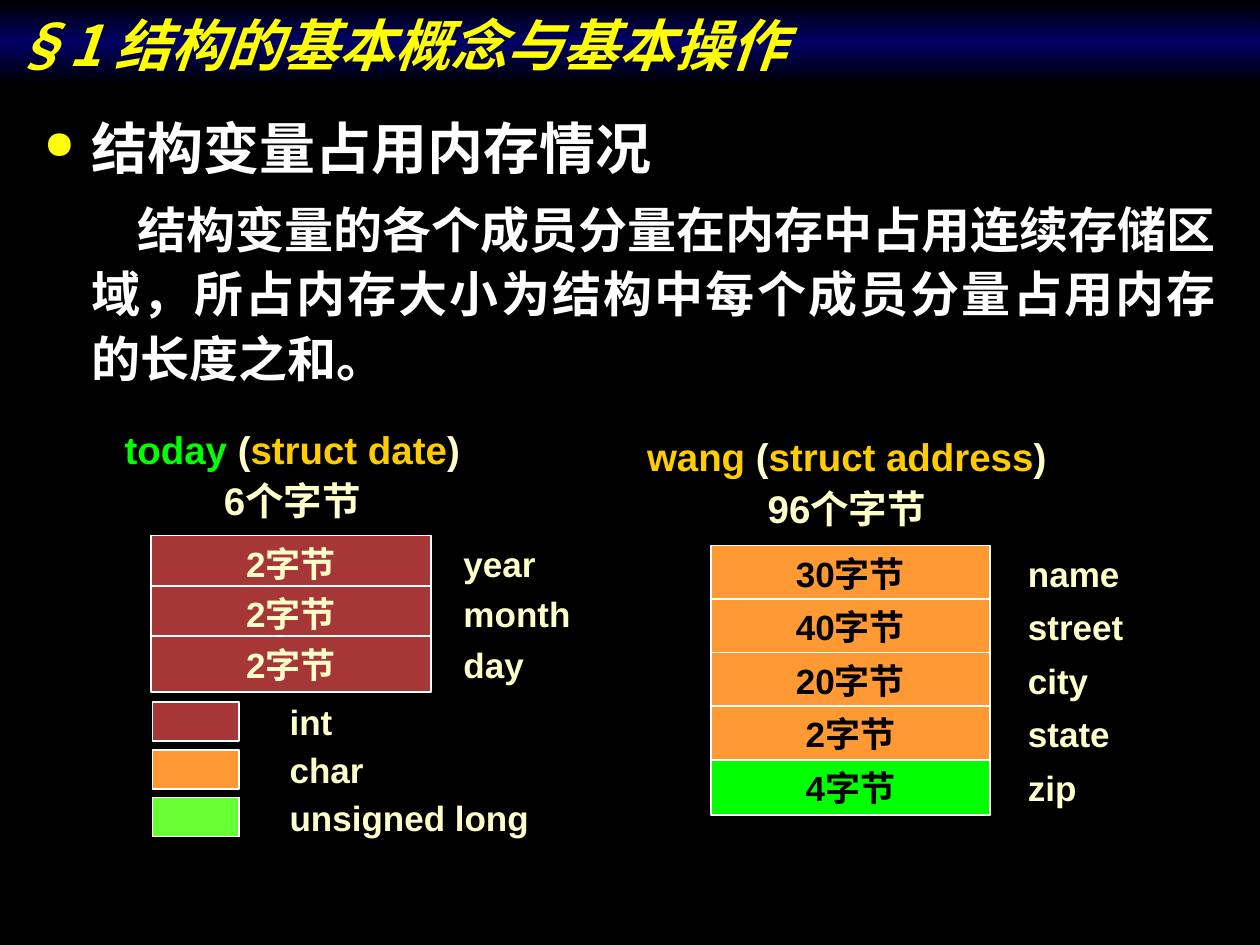
from copy import deepcopy

from lxml.etree import SubElement
from pptx import Presentation
from pptx.dml.color import RGBColor
from pptx.enum.shapes import MSO_SHAPE
from pptx.enum.text import MSO_ANCHOR, PP_ALIGN
from pptx.oxml.ns import qn
from pptx.util import Inches, Pt

COLORS = {
    "black": "000000", "navy": "000066", "white": "FFFFFF", "yellow": "FFFF00",
    "cream": "FFFFCC", "gold": "FFCC00", "green": "00FF00",
    "int": "A73737", "char": "FF9933", "long": "66FF33",
}
SANS, HAN = "Arial", "Noto Sans CJK SC"
ROW = 0.44


def rgb(name):
    return RGBColor.from_string(COLORS[name])


def style(run, size, color, face=SANS, italic=None):
    font = run.font
    font.name, font.size, font.bold, font.italic = face, Pt(size), True, italic
    font.color.rgb = rgb(color)
    SubElement(font._element, qn("a:ea"), typeface=HAN)


def add_rect(shapes, box, fill, line=None):
    rect = shapes.add_shape(MSO_SHAPE.RECTANGLE, *map(Inches, box))
    rect.shadow.inherit = False
    rect.fill.solid()
    rect.fill.fore_color.rgb = rgb(fill)
    if line:
        rect.line.color.rgb = rgb(line)
        rect.line.width = Pt(1)
    else:
        rect.line.fill.background()
    return rect


def add_box(shapes, box):
    text = shapes.add_textbox(*map(Inches, box))
    text.text_frame.word_wrap = True
    return text


def write(shape, text, color, align=PP_ALIGN.LEFT):
    """Put one middle-anchored line of label text into a shape."""
    frame = shape.text_frame
    frame.vertical_anchor = MSO_ANCHOR.MIDDLE
    frame.text = text
    para = frame.paragraphs[0]
    para.alignment = align
    style(para.runs[0], 20, color)


def add_title(slide, box, text):
    bar = add_rect(slide.shapes, box, "black")
    bar.fill.gradient()
    bar.fill.gradient_angle = 270
    stops = bar.fill.gradient_stops
    last = stops[1]._gs
    last.addprevious(deepcopy(last))
    for stop, name, place in zip(bar.fill.gradient_stops,
                                 ("black", "navy", "black"), (0, 0.5, 1)):
        stop.color.rgb = rgb(name)
        stop.position = place
    frame = bar.text_frame
    frame.vertical_anchor = MSO_ANCHOR.BOTTOM
    frame.text = text
    para = frame.paragraphs[0]
    para.alignment = PP_ALIGN.LEFT
    style(para.runs[0], 32, "yellow", HAN, True)


def add_bullet(props):
    color = SubElement(props, qn("a:buClr"))
    SubElement(color, qn("a:srgbClr"), val=COLORS["yellow"])
    SubElement(props, qn("a:buSzPct"), val="70000")
    SubElement(props, qn("a:buChar"), char="●")


def add_body(slide, box, head, text):
    frame = add_box(slide.shapes, box).text_frame
    frame.text = f"{head}\n{text}"
    for para, size, indent in zip(frame.paragraphs, (32, 28), (-0.38, 0.36)):
        para.alignment = PP_ALIGN.JUSTIFY
        para.line_spacing = 1.1
        props = para._p.get_or_add_pPr()
        props.set("marL", str(Inches(0.38)))
        props.set("indent", str(Inches(indent)))
        style(para.runs[0], size, "white", HAN)
    first, second = frame.paragraphs
    add_bullet(first._p.get_or_add_pPr())
    second.space_before = Pt(7)


def add_head(shapes, box, parts, total):
    """Name a variable and its type, with the total size below."""
    frame = add_box(shapes, box).text_frame
    frame.vertical_anchor = MSO_ANCHOR.MIDDLE
    lines = [frame.paragraphs[0], frame.add_paragraph()]
    for para, runs in zip(lines, (parts, [(total, "cream")])):
        para.alignment = PP_ALIGN.CENTER
        para.line_spacing = 0.9
        for text, color in runs:
            run = para.add_run()
            run.text = text
            style(run, 22, color)
    lines[1].space_before = Pt(5.5)


def add_struct(slide, left, top, pitch, ink, gap, wide, rows):
    """Stack one cell per member, with the member names to the right."""
    shapes = slide.shapes.add_group_shape().shapes
    for i, (size, name, fill) in enumerate(rows):
        y = top + i * pitch
        cell = add_rect(shapes, (left, y, 2.22, ROW), fill, "white")
        write(cell, size, ink, PP_ALIGN.CENTER)
        write(add_box(shapes, (left + gap, y, wide, ROW)), name, "cream")
    return shapes


def add_legend(slide, left, top, items):
    shapes = slide.shapes.add_group_shape().shapes
    for i, (name, fill, wide) in enumerate(items):
        y = top + i * 0.38
        add_rect(shapes, (left, y + 0.06, 0.69, 0.31), fill, "white")
        label = add_box(shapes, (left + 0.99, y, wide, ROW))
        label.text_frame.word_wrap = False
        write(label, name, "cream")


def main():
    deck = Presentation()
    deck.slide_width, deck.slide_height = Inches(10), Inches(7.5)
    slide = deck.slides.add_slide(deck.slide_layouts[6])
    slide.background.fill.solid()
    slide.background.fill.fore_color.rgb = rgb("black")

    add_body(slide, (0.25, 0.8, 9.5, 2.41), "结构变量占用内存情况",
             "结构变量的各个成员分量在内存中占用连续存储区域，"
             "所占内存大小为结构中每个成员分量占用内存的长度之和。")

    date = add_struct(slide, 1.2, 4.25, 0.4, "cream", 2.38, 1.19, [
        ("2字节", name, "int") for name in ("year", "month", "day")])
    add_head(date, (0.87, 3.37, 2.9, 0.84),
             [("today", "green"), (" (", "cream"),
              ("struct date", "gold"), (")", "cream")], "6个字节")

    address = add_struct(slide, 5.64, 4.33, 0.425, "black", 2.42, 1.33, [
        ("30字节", "name", "char"), ("40字节", "street", "char"),
        ("20字节", "city", "char"), ("2字节", "state", "char"),
        ("4字节", "zip", "green")])
    add_head(address, (5.03, 3.43, 3.38, 0.84),
             [("wang ", "gold"), ("(", "cream"),
              ("struct address", "gold"), (")", "cream")], "96个字节")

    add_legend(slide, 1.21, 5.51, [
        ("int", "int", 0.54), ("char", "char", 0.79),
        ("unsigned long", "long", 2.1)])
    add_title(slide, (0, 0, 10, 0.67), "§1 结构的基本概念与基本操作")
    deck.save("out.pptx")


if __name__ == "__main__":
    main()
